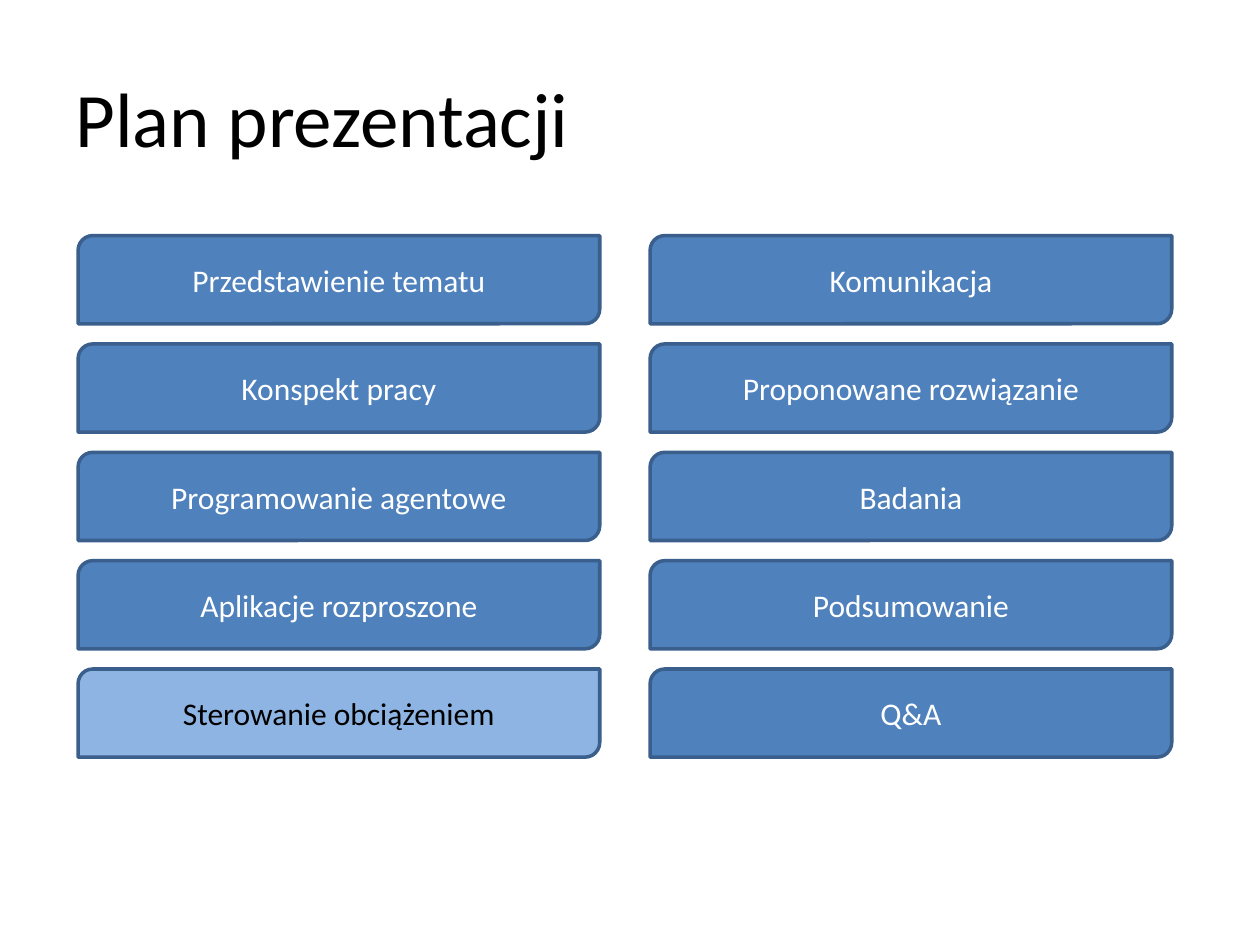
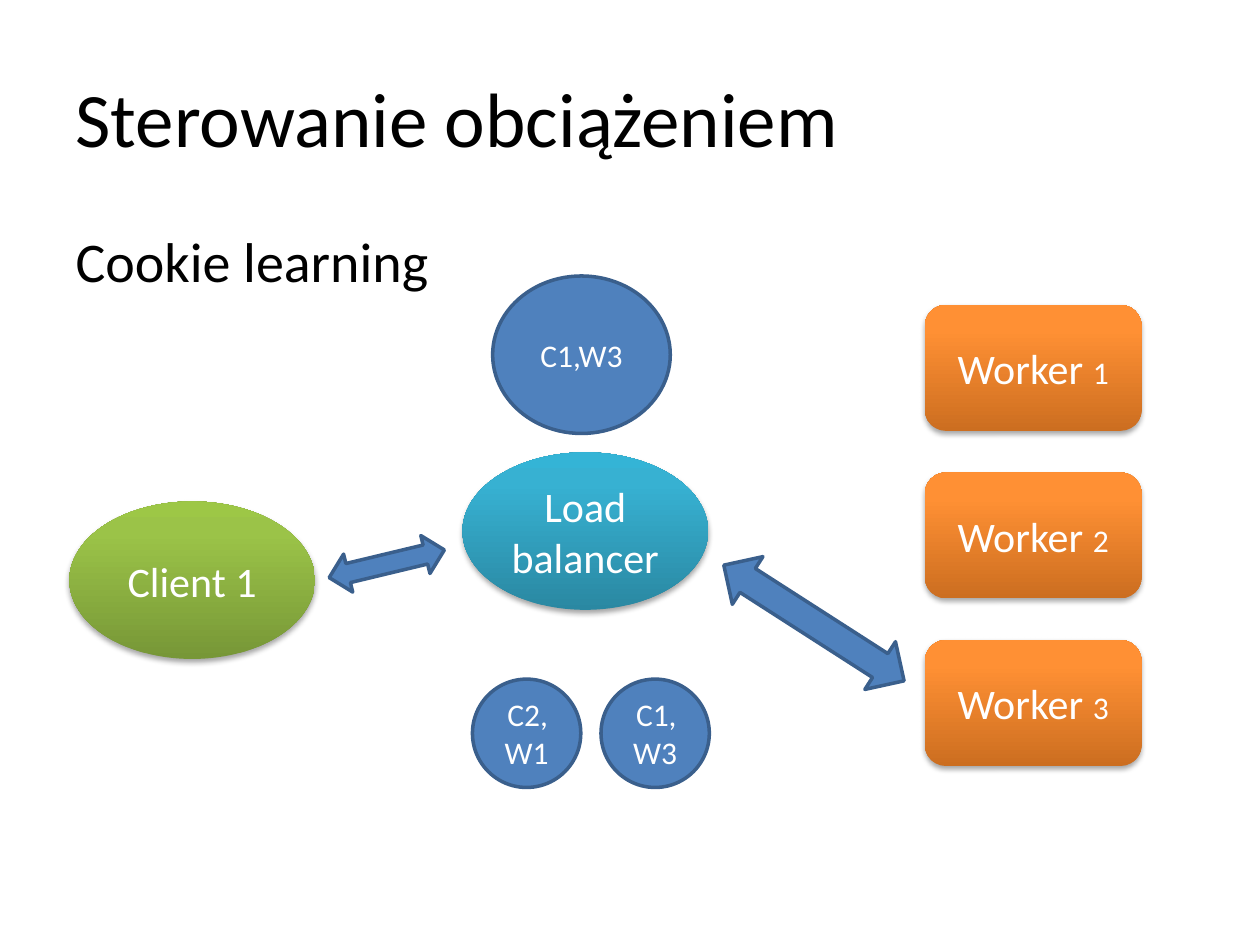
from copy import deepcopy

from lxml import etree
from pptx import Presentation
from pptx import util as u
from pptx.dml.color import RGBColor
from pptx.enum import shapes, text
from pptx.oxml.ns import qn

FONT = "Calibri"
HEX = {"blue": "4F81BD", "edge": "3A5F8C", "pale": "8EB4E3",
       "black": "000000", "white": "FFFFFF"}
# Gradient stops from bottom to top
STOPS = (0, 0.8, 1)
GRADS = {"green": ("779737", "9BC348", "9DC746"),
         "teal": ("2A88A2", "37B1D2", "34B4D6"),
         "orange": ("CC6E20", "FF9034", "FF9136")}

WIDE, HIGH = 10, 7.5
TITLE = (0.5, 0.3, 9, 1.25)
BODY = (0.5, 1.75, 9, 4.95)

PLAN = [
    ["Przedstawienie tematu", "Konspekt pracy", "Programowanie agentowe",
     "Aplikacje rozproszone", "Sterowanie obciążeniem"],
    ["Komunikacja", "Proponowane rozwiązanie", "Badania", "Podsumowanie", "Q&A"],
]
TOPIC = "Sterowanie obciążeniem"
CARD = {"left": 0.62, "top": 1.87, "wide": 4.14, "high": 0.7,
        "col": 4.54, "row": 0.86}

NODES = [("Client 1", "green", (0.55, 3.98, 1.95, 1.25)),
         ("Load balancer", "teal", (3.67, 3.59, 1.95, 1.25))]
WORKERS = ["1", "2", "3"]
WORK = {"left": 7.34, "top": 2.42, "wide": 1.72, "high": 1, "row": 1.33}
ARROWS = [((2.6, 4.32, 0.94, 0.31), 346.5), ((5.61, 4.72, 1.7, 0.45), 32.7)]
COOKIES = [("C1,W3", (4.77, 5.39, 0.86, 0.86)),
           ("C2,W1", (3.75, 5.39, 0.86, 0.86)),
           ("C1,W3", (3.91, 2.19, 1.41, 1.25))]

KIND = shapes.MSO_SHAPE


def rgb(name):
    return RGBColor.from_string(HEX.get(name, name))


def box(at):
    return [u.Inches(n) for n in at]


def write(shape, *runs, size=18, color="white", align=text.PP_ALIGN.CENTER,
          anchor=text.MSO_ANCHOR.MIDDLE):
    """Fill a shape with one paragraph; a run is a string or (string, size)."""
    frame = shape.text_frame
    frame.word_wrap = True
    frame.vertical_anchor = anchor
    para = frame.paragraphs[0]
    para.alignment = align
    for item in runs:
        words, points = (item, size) if isinstance(item, str) else item
        run = para.add_run()
        run.text = words
        run.font.name, run.font.size = FONT, u.Pt(points)
        run.font.color.rgb = rgb(color)
    return para


def place(holder, at, words, **look):
    holder.left, holder.top, holder.width, holder.height = box(at)
    return write(holder, words, color="black", align=text.PP_ALIGN.LEFT, **look)


def start(deck, layout, title):
    slide = deck.slides.add_slide(deck.slide_layouts[layout])
    place(slide.shapes.title, TITLE, title, size=44)
    return slide


def flat(slide, kind, at, fill="blue"):
    """Add a plain filled shape with the dark blue outline."""
    shape = slide.shapes.add_shape(kind, *box(at))
    shape.shadow.inherit = False
    shape.fill.solid()
    shape.fill.fore_color.rgb = rgb(fill)
    shape.line.color.rgb = rgb("edge")
    shape.line.width = u.Pt(2)
    return shape


def glossy(slide, kind, at, grad):
    """Add a shape with a three-stop gradient and a soft shadow below."""
    shape = slide.shapes.add_shape(kind, *box(at))
    shape.line.fill.background()
    shape.fill.gradient()
    shape.fill.gradient_angle = 90
    props = shape._element.spPr
    stops = props.find(qn("a:gradFill")).find(qn("a:gsLst"))
    stops.append(deepcopy(stops[-1]))
    for stop, pos, color in zip(shape.fill.gradient_stops, STOPS, GRADS[grad]):
        stop.position = pos
        stop.color.rgb = rgb(color)
    shape.shadow.inherit = False
    cast = etree.SubElement(
        props.find(qn("a:effectLst")), qn("a:outerShdw"),
        blurRad=str(u.Pt(3.1)), dist=str(u.Pt(1.8)), dir="5400000", rotWithShape="0")
    tint = etree.SubElement(cast, qn("a:srgbClr"), val=HEX["black"])
    etree.SubElement(tint, qn("a:alpha"), val="35000")
    return shape


def plan(deck):
    slide = start(deck, 5, "Plan prezentacji")
    for col, names in enumerate(PLAN):
        for row, name in enumerate(names):
            at = (CARD["left"] + col * CARD["col"], CARD["top"] + row * CARD["row"],
                  CARD["wide"], CARD["high"])
            fill, ink = ("pale", "black") if name == TOPIC else ("blue", "white")
            write(flat(slide, KIND.ROUND_2_DIAG_RECTANGLE, at, fill), name, color=ink)


def load(deck):
    slide = start(deck, 1, TOPIC)
    para = place(slide.placeholders[1], BODY, "Cookie learning", size=32,
                 anchor=text.MSO_ANCHOR.TOP)
    props = para._p.get_or_add_pPr()
    props.set("marL", str(u.Inches(0.38)))
    props.set("indent", str(u.Inches(-0.38)))
    etree.SubElement(props, qn("a:buNone"))

    for name, grad, at in NODES:
        write(glossy(slide, KIND.OVAL, at, grad), name, size=24)
    for row, number in enumerate(WORKERS):
        at = (WORK["left"], WORK["top"] + row * WORK["row"], WORK["wide"], WORK["high"])
        write(glossy(slide, KIND.ROUNDED_RECTANGLE, at, "orange"),
              ("Worker ", 24), number)
    for at, turn in ARROWS:
        flat(slide, KIND.LEFT_RIGHT_ARROW, at).rotation = turn
    for name, at in COOKIES:
        write(flat(slide, KIND.OVAL, at), name)


def main():
    deck = Presentation()
    deck.slide_width, deck.slide_height = u.Inches(WIDE), u.Inches(HIGH)
    plan(deck)
    load(deck)
    deck.save("out.pptx")


if __name__ == "__main__":
    main()
